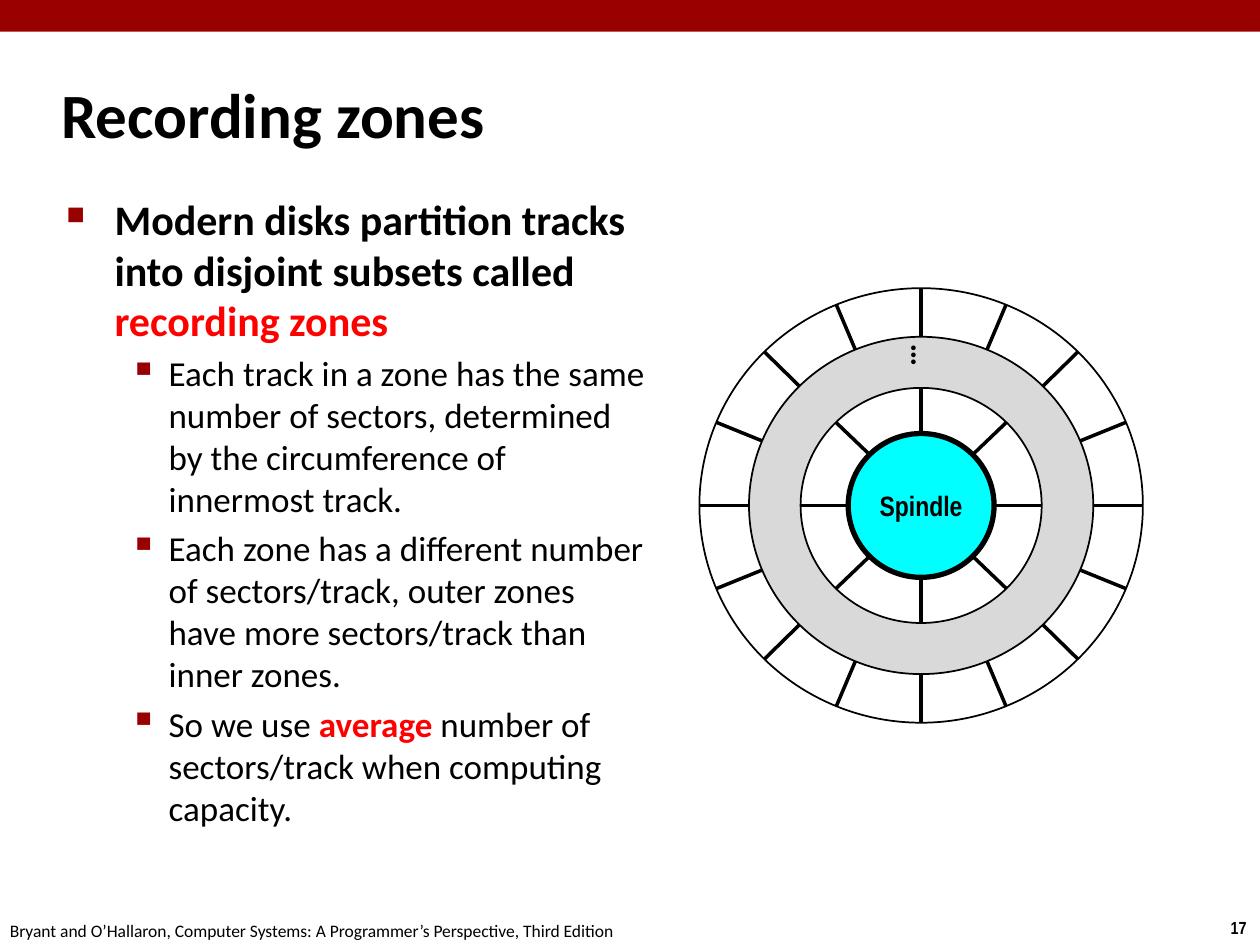
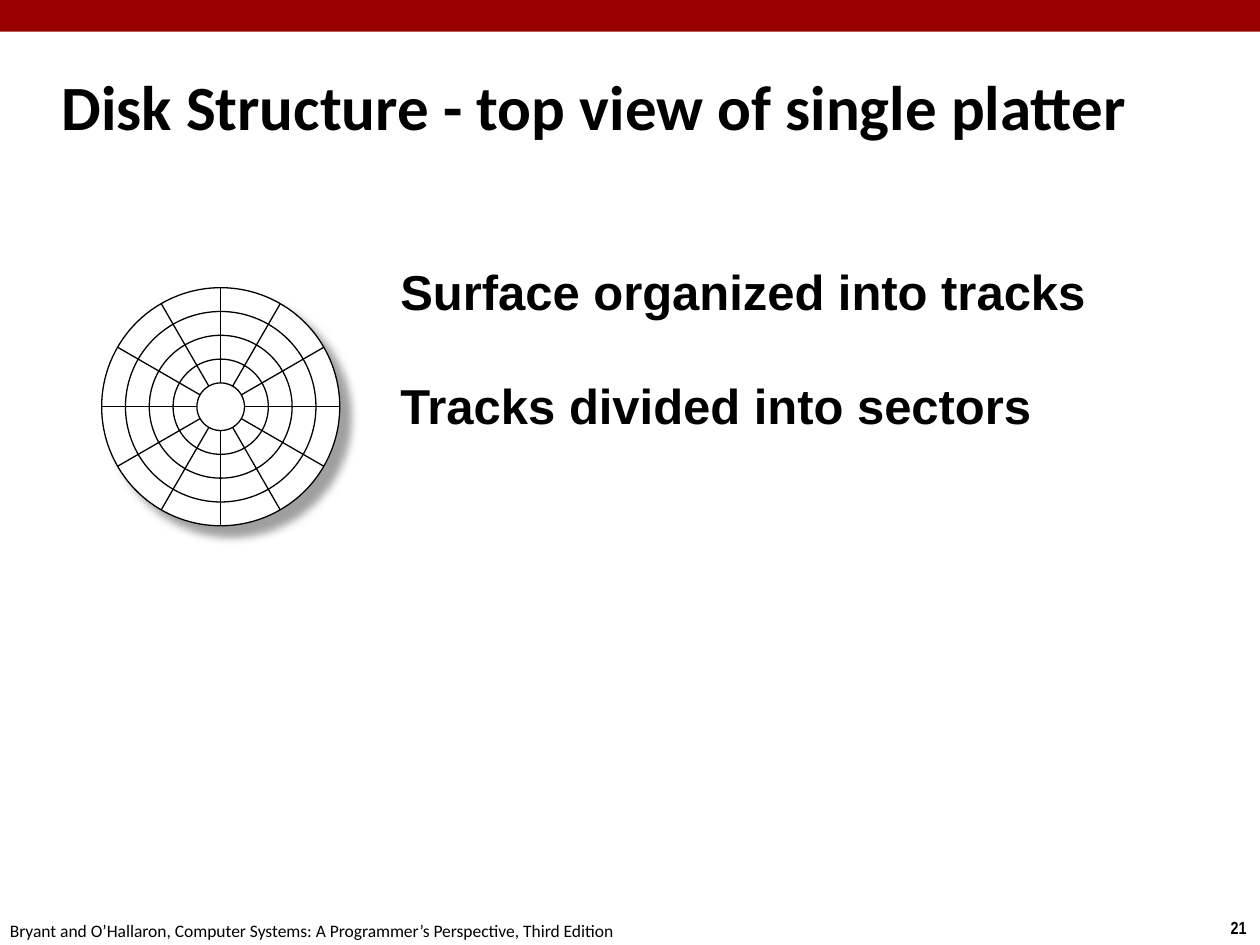
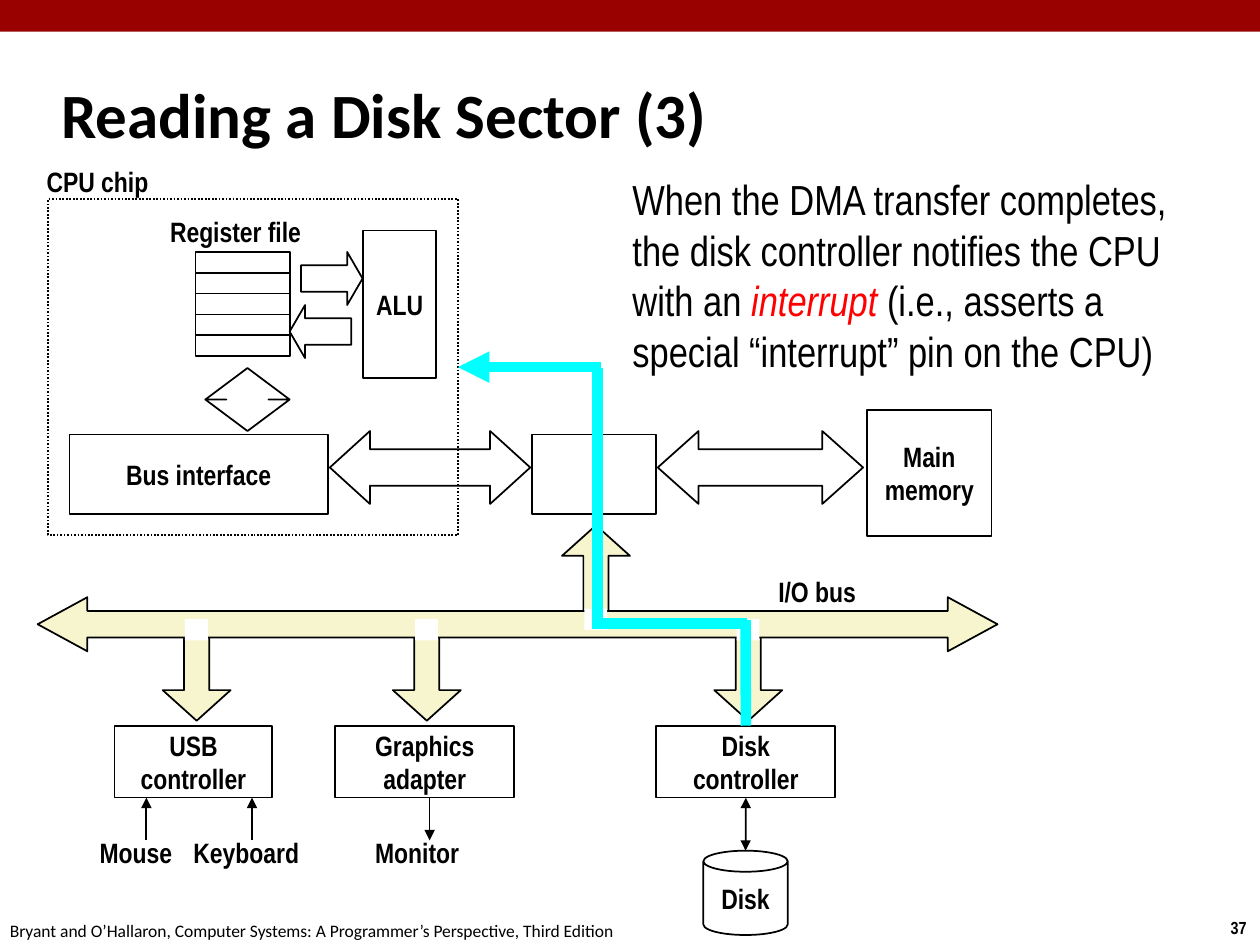
from dataclasses import dataclass
from math import cos, radians, sin

from lxml.etree import SubElement
from pptx import Presentation
from pptx.dml.color import RGBColor
from pptx.enum.dml import MSO_LINE
from pptx.enum.shapes import MSO_CONNECTOR, MSO_SHAPE as Preset
from pptx.enum.text import MSO_ANCHOR as Anchor, PP_ALIGN as Align
from pptx.oxml.ns import qn
from pptx.util import Cm, Pt


@dataclass(frozen=True)
class Theme:
    band: str = "990000"
    ink: str = "000000"
    paper: str = "FFFFFF"
    accent: str = "FF0000"
    zone: str = "D9D9D9"
    cyan: str = "00FFFF"
    bus: str = "F7F5CD"
    shadow: str = "808080"
    body_font: str = "Calibri"
    label_font: str = "Arial Narrow"
    caption_font: str = "Arial"
    title_size: int = 36
    caption_size: int = 28
    lead_size: int = 24
    point_size: int = 20
    dots_size: int = 18
    label_size: int = 16
    footer_size: int = 10


THEME = Theme()
FOOTER = ("Bryant and O’Hallaron, Computer Systems: "
          "A Programmer’s Perspective, Third Edition")
LABEL = dict(size=THEME.label_size, font=THEME.label_font, bold=True)
TOP, RIGHT, BOTTOM = 0, 3, 2  # connection sites of a rectangle


# Text
def write_span(para, text, size=THEME.point_size, font=THEME.body_font,
               color=THEME.ink, bold=False, italic=False):
    span = para.add_run()
    span.text = text
    span.font.size = Pt(size)
    span.font.name = font
    span.font.bold = bold
    span.font.italic = italic
    span.font.color.rgb = RGBColor.from_string(color)


def write_lines(frame, text, align=Align.CENTER, **style):
    for number, line in enumerate(text.split("\n")):
        para = frame.paragraphs[0] if number == 0 else frame.add_paragraph()
        para.alignment = align
        write_span(para, line, **style)


def add_text(page, area, text="", align=Align.LEFT, anchor=Anchor.TOP, **style):
    box = page.shapes.add_textbox(*map(Cm, area))
    frame = box.text_frame
    frame.word_wrap = align == Align.LEFT
    frame.vertical_anchor = anchor
    if text:
        write_lines(frame, text, align, **style)
    return box


def add_label(page, area, text, align=Align.CENTER):
    return add_text(page, area, text, align, Anchor.MIDDLE, **LABEL)


def add_bullet(para, char, percent, left, hanging):
    props = para._p.get_or_add_pPr()
    props.set("marL", str(Cm(left)))
    props.set("indent", str(-Cm(hanging)))
    color = SubElement(props, qn("a:buClr"))
    SubElement(color, qn("a:srgbClr"), val=THEME.band)
    SubElement(props, qn("a:buSzPct"), val=str(percent * 1000))
    SubElement(props, qn("a:buChar"), char=char)


# Shapes and lines
def add_figure(page, preset, area, text="", fill=None, line=THEME.ink,
               width=1, adjust=()):
    shape = page.shapes.add_shape(preset, *map(Cm, area))
    shape.shadow.inherit = False
    for number, value in enumerate(adjust):
        shape.adjustments[number] = value
    if fill:
        shape.fill.solid()
        shape.fill.fore_color.rgb = RGBColor.from_string(fill)
    else:
        shape.fill.background()
    if line:
        shape.line.color.rgb = RGBColor.from_string(line)
        shape.line.width = Pt(width)
    else:
        shape.line.fill.background()
    if text:
        shape.text_frame.word_wrap = False
        shape.text_frame.vertical_anchor = Anchor.MIDDLE
        write_lines(shape.text_frame, text, **LABEL)
    return shape


def add_ellipse(page, center, radii, text="", **look):
    (x, y), (rx, ry) = center, radii
    area = (x - rx, y - ry, 2 * rx, 2 * ry)
    return add_figure(page, Preset.OVAL, area, text, **look)


def add_line(page, start, end, color=THEME.ink, width=1, head=False, tail=False):
    line = page.shapes.add_connector(
        MSO_CONNECTOR.STRAIGHT, *map(Cm, (*start, *end)))
    line.line.color.rgb = RGBColor.from_string(color)
    line.line.width = Pt(width)
    outline = line.line._get_or_add_ln()
    for name, wanted in (("a:headEnd", head), ("a:tailEnd", tail)):
        if wanted:
            SubElement(outline, qn(name), type="triangle")
    SubElement(line._element.spPr, qn("a:effectLst"))
    return line


def add_spokes(page, center, inner, outer, angles, width):
    def rim(radii, angle):
        return (center[0] + radii[0] * cos(radians(angle)),
                center[1] - radii[1] * sin(radians(angle)))

    for angle in angles:
        add_line(page, rim(outer, angle), rim(inner, angle), width=width)


def cast_shadow(shape):
    effects = shape._element.spPr.find(qn("a:effectLst"))
    shadow = SubElement(effects, qn("a:outerShdw"), blurRad=str(Pt(5)),
                        dist=str(Pt(8.5)), dir=str(45 * 60000),
                        algn="ctr", rotWithShape="0")
    color = SubElement(shadow, qn("a:srgbClr"), val=THEME.shadow)
    SubElement(color, qn("a:alpha"), val="75000")


# Band, footer and title of every slide
def start_page(deck, title, number, title_area=(0.99, 1.22, 21.08, 2.11)):
    page = deck.slides.add_slide(deck.slide_layouts[6])
    add_figure(page, Preset.RECTANGLE, (0, 0, 25.4, 0.64),
               fill=THEME.band, line=None)
    add_text(page, (24.54, 18.36, 0.86, 0.69), str(number), Align.CENTER,
             size=THEME.footer_size, font=THEME.label_font, bold=True)
    add_text(page, (-0.05, 18.42, 12.9, 0.69), FOOTER, size=THEME.footer_size)
    add_text(page, title_area, title, anchor=Anchor.MIDDLE,
             size=THEME.title_size, bold=True)
    return page


def build_recording_zones(deck):
    page = start_page(deck, "Recording zones", 17)

    # Bulleted text
    lead = dict(size=THEME.lead_size, bold=True)
    strong = dict(color=THEME.accent, bold=True)
    points = [
        [("Each track in a zone has the same number of sectors, determined "
          "by the circumference of innermost track.", {})],
        [("Each zone has a different number of sectors/track, outer zones "
          "have more sectors/track than inner zones.", {})],
        [("So we use ", {}), ("average", strong),
         (" number of sectors/track when computing capacity.", {})],
    ]
    frame = add_text(page, (1.09, 3.78, 12.27, 14.07)).text_frame
    para = frame.paragraphs[0]
    add_bullet(para, "■", 60, 0.97, 0.97)
    write_span(para, "Modern disks partition tracks into disjoint subsets called ",
               **lead)
    write_span(para, "recording zones", color=THEME.accent, **lead)
    for spans in points:
        para = frame.add_paragraph()
        para.level = 1
        para.space_before = Pt(4)
        add_bullet(para, "▪", 110, 2.06, 0.79)
        for text, style in spans:
            write_span(para, text, **style)

    # Disk with an outer and an inner zone
    center = (18.57, 10.19)
    rim, middle, inner, hub = (4.47, 4.38), (3.47, 3.4), (2.43, 2.37), (1.47, 1.45)
    add_ellipse(page, center, middle, fill=THEME.zone)
    add_ellipse(page, center, inner, fill=THEME.paper)
    add_ellipse(page, center, rim)
    add_ellipse(page, center, hub, "Spindle", fill=THEME.cyan, width=3)
    add_spokes(page, center, hub, inner, range(0, 360, 45), 2)
    dots = add_text(page, (17.7, 6.93, 1.27, 0.71), "…",
                    size=THEME.dots_size, bold=True)
    dots.text_frame._txBody.bodyPr.set("vert", "vert270")
    dots.text_frame.word_wrap = False
    add_spokes(page, center, middle, rim, [22.5 * n for n in range(16)], 2)


def build_disk_structure(deck):
    page = start_page(deck, "Disk Structure - top view of single platter", 21,
                      (0.99, 1.07, 23.57, 2.11))

    # Platter with six diameters and evenly spaced tracks
    center, track, thin = (4.45, 8.2), 0.48, 0.75
    rim = (5 * track, 5 * track)
    cast_shadow(add_ellipse(page, center, rim, fill=THEME.paper, width=thin))
    opposite = (-rim[0], -rim[1])
    add_spokes(page, center, opposite, rim, range(0, 180, 30), thin)
    for number in range(1, 5):
        add_ellipse(page, center, (number * track, number * track), width=thin,
                    fill=THEME.paper if number == 1 else None)

    for top, text in ((4.24, "Surface organized into tracks"),
                      (6.55, "Tracks divided into sectors")):
        add_text(page, (7.82, top, 15.88, 2.34), text, anchor=Anchor.BOTTOM,
                 size=THEME.caption_size, font=THEME.caption_font, bold=True)


def build_reading_sector(deck):
    page = start_page(deck, "Reading a Disk Sector (3)", 37)

    # Memory, bridge and the buses between them
    add_figure(page, Preset.RECTANGLE, (17.48, 8.26, 2.51, 2.54), "Main\nmemory")
    add_figure(page, Preset.LEFT_RIGHT_ARROW, (13.26, 8.69, 4.14, 1.47),
               adjust=(0.5, 0.56))
    add_figure(page, Preset.RECTANGLE, (10.72, 8.76, 2.51, 1.6))
    add_figure(page, Preset.LEFT_RIGHT_ARROW, (6.65, 8.69, 4.04, 1.47),
               adjust=(0.5, 0.55))

    # CPU chip
    for row in range(5):
        add_figure(page, Preset.RECTANGLE, (3.94, 5.08 + row * 0.42, 1.91, 0.42))
    add_figure(page, Preset.RIGHT_ARROW, (6.07, 5.08, 1.24, 1.07),
               adjust=(0.5, 0.29))
    add_figure(page, Preset.LEFT_ARROW, (5.84, 6.15, 1.24, 1.07),
               adjust=(0.5, 0.29))
    add_figure(page, Preset.RECTANGLE, (7.32, 4.65, 1.47, 2.97), "ALU")
    add_label(page, (3.15, 4.19, 3.2, 0.94), "Register file")
    # This preset takes the head length first, then the shaft width
    add_figure(page, Preset.UP_DOWN_ARROW, (4.14, 7.42, 1.7, 1.27),
               adjust=(0.2, 0.5))
    chip = add_figure(page, Preset.RECTANGLE, (0.97, 4.01, 8.26, 6.78))
    chip.line.dash_style = MSO_LINE.ROUND_DOT
    add_label(page, (0.69, 3.18, 3.02, 0.94), "CPU chip", Align.LEFT)

    # I/O bus branches, with patches that open them into the bus
    branch = dict(fill=THEME.bus, adjust=(0.37, 0.45))
    up_left, down_lefts = 11.33, (3.28, 7.92, 14.4)
    add_figure(page, Preset.UP_ARROW, (up_left, 10.59, 1.37, 1.91), **branch)
    for left in down_lefts:
        add_figure(page, Preset.DOWN_ARROW, (left, 12.62, 1.37, 1.91), **branch)
    add_figure(page, Preset.LEFT_RIGHT_ARROW, (0.76, 12.04, 19.35, 1.09),
               fill=THEME.bus, adjust=(0.49, 0.92))
    for left, top in ((up_left, 12.27), *((left, 12.48) for left in down_lefts)):
        add_figure(page, Preset.RECTANGLE, (left + 0.45, top, 0.46, 0.43),
                   fill=THEME.paper, line=None)
    add_label(page, (15.44, 11.46, 2.44, 0.94), "I/O bus", Align.LEFT)

    # Controllers and their devices
    controllers = {
        text: add_figure(page, Preset.RECTANGLE, (left, 14.63, width, 1.45), text)
        for left, width, text in ((2.31, 3.18, "USB\ncontroller"),
                                  (6.76, 3.61, "Graphics\nadapter"),
                                  (13.23, 3.61, "Disk\ncontroller"))
    }
    disk_controller = controllers["Disk\ncontroller"]
    for left, width, name, x, is_input in ((1.75, 1.98, "Mouse", 2.95, True),
                                           (3.63, 2.67, "Keyboard", 5.08, True),
                                           (7.29, 2.24, "Monitor", 8.66, False)):
        add_line(page, (x, 16.08), (x, 16.94), head=is_input, tail=not is_input)
        add_label(page, (left, 16.71, width, 0.94), name)
    add_figure(page, Preset.CAN, (14.18, 17.15, 1.7, 1.7), "Disk", adjust=(0.25,))
    link = add_line(page, (15.03, 16.08), (15.03, 17.15), head=True, tail=True)
    link.begin_connect(disk_controller, BOTTOM)

    # Path of the interrupt
    signal = dict(color=THEME.cyan, width=6)
    notice = add_line(page, (12.12, 7.4), (9.23, 7.4), tail=True, **signal)
    notice.end_connect(chip, RIGHT)
    add_line(page, (12.04, 7.42), (12.04, 12.5), **signal)
    add_line(page, (11.94, 12.57), (15.06, 12.57), **signal)
    request = add_line(page, (15.03, 12.5), (15.03, 14.63), **signal)
    request.end_connect(disk_controller, TOP)
    add_figure(page, Preset.RECTANGLE, (1.4, 8.76, 5.21, 1.6), "Bus interface")

    # Explanation
    note = dict(size=THEME.lead_size, font=THEME.label_font)
    para = add_text(page, (12.5, 3.38, 12.07, 4.37)).text_frame.paragraphs[0]
    write_span(para, "When the DMA transfer completes, the disk controller "
                     "notifies the CPU with an ", **note)
    write_span(para, "interrupt", color=THEME.accent, italic=True, **note)
    write_span(para, " (i.e., asserts a special “interrupt” pin on the CPU)", **note)


def main():
    deck = Presentation()
    deck.slide_width, deck.slide_height = Cm(25.4), Cm(19.05)
    build_recording_zones(deck)
    build_disk_structure(deck)
    build_reading_sector(deck)
    deck.save("out.pptx")


if __name__ == "__main__":
    main()
